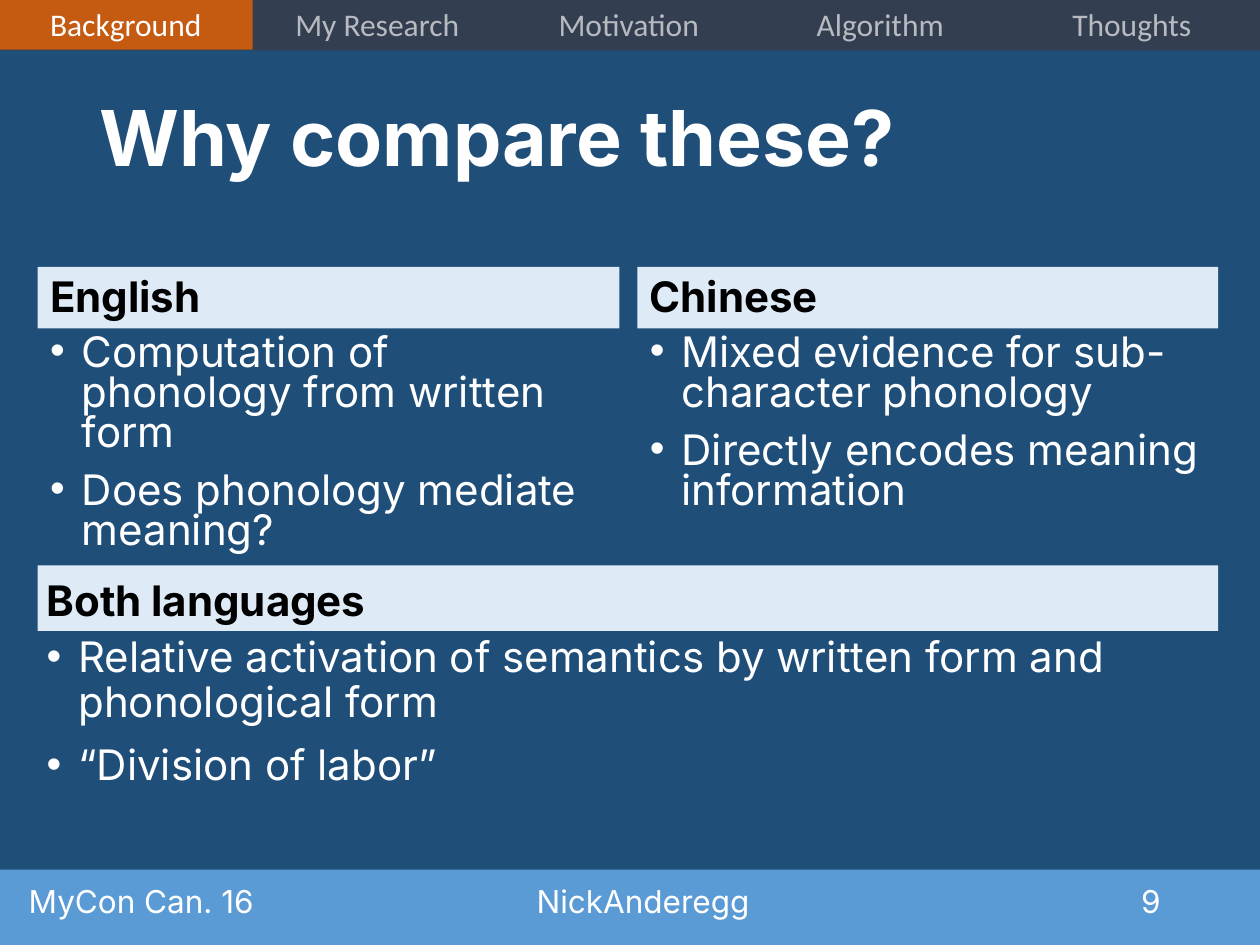
from lxml.etree import SubElement
from pptx import Presentation
from pptx.dml.color import RGBColor
from pptx.enum.shapes import MSO_SHAPE as Shape
from pptx.enum.text import MSO_ANCHOR as Anchor, PP_ALIGN as Align
from pptx.oxml import parse_xml
from pptx.oxml.ns import nsdecls, qn
from pptx.util import Cm, Pt

WHITE, BLACK = "FFFFFF", "000000"
NAVY, SLATE, ORANGE, PALE, BLUE = "1F4E79", "333F50", "C55A11", "DEEBF7", "5B9BD5"
SLIDE_WIDTH, SLIDE_HEIGHT = 25.4, 19.05
NAV_ITEMS = ["Background", "My Research", "Motivation", "Algorithm", "Thoughts"]
NAV_HEIGHT, TAB_WIDTH = 1.04, 5.07
DEFAULT_INSETS, TIGHT_INSETS = (0.25, 0.13), (0.18, 0.1)

SECTIONS = [
    ("English", ["Computation of phonology from written form",
                 "Does phonology mediate meaning?"],
     (0.76, 5.38, 11.73), (1.24, 4.78), 0.8, DEFAULT_INSETS),
    ("Chinese", ["Mixed evidence for sub-character phonology",
                 "Directly encodes meaning information"],
     (12.85, 5.38, 11.71), (1.24, 4.78), 0.8, DEFAULT_INSETS),
    ("Both languages", ["Relative activation of semantics by written form and phonological form",
                        "“Division of labor”"],
     (0.76, 11.4, 23.8), (1.32, 3.81), 0.9, TIGHT_INSETS),
]

FOOTERS = [
    ("9", 17, 6.65, Align.RIGHT),
    ("NickAnderegg", 10.03, 5.33, Align.RIGHT),
    ("MyCon Can. 16", 0.33, 8.08, Align.LEFT),
]


def color(value):
    return RGBColor.from_string(value)


def add_bar(page, place, fill, opacity=None):
    bar = page.shapes.add_shape(Shape.RECTANGLE, *map(Cm, place))
    bar.shadow.inherit = False
    bar.fill.solid()
    bar.fill.fore_color.rgb = color(fill)
    bar.line.fill.background()
    if opacity is not None:
        tint = bar.fill._xPr.find(".//" + qn("a:srgbClr"))
        SubElement(tint, qn("a:alpha"), val=str(opacity * 1000))
    return bar


def add_box(page, place):
    return page.shapes.add_textbox(*map(Cm, place))


def set_frame(shape, anchor=Anchor.TOP, insets=DEFAULT_INSETS):
    frame = shape.text_frame
    frame.word_wrap = True
    frame.vertical_anchor = anchor
    frame.margin_left = frame.margin_right = Cm(insets[0])
    frame.margin_top = frame.margin_bottom = Cm(insets[1])
    return frame


def write(para, text, size, ink=WHITE, font="Inter", bold=False,
          align=Align.LEFT, spacing=None, before=0):
    para.alignment = align
    para.line_spacing = spacing
    para.space_before = Pt(before)
    span = para.add_run()
    span.text = text
    span.font.name = font
    span.font.size = Pt(size)
    span.font.bold = bold
    span.font.color.rgb = color(ink)


def add_bullet(para):
    props = para._p.get_or_add_pPr()
    props.set("marL", str(Cm(0.64)))
    props.set("indent", str(-Cm(0.64)))
    SubElement(props, qn("a:buFont"), typeface="Arial")
    SubElement(props, qn("a:buChar"), char="•")


def add_section(page, heading, points, place, heights, spacing, insets):
    left, top, width = place
    head_height, body_height = heights
    head = add_bar(page, (left, top, width, head_height), PALE)
    write(set_frame(head, Anchor.BOTTOM, insets).paragraphs[0], heading, 24,
          BLACK, bold=True, spacing=0.9, before=10)
    body = add_box(page, (left, top + head_height, width, body_height))
    frame = set_frame(body, insets=insets)
    for index, point in enumerate(points):
        para = frame.add_paragraph() if index else frame.paragraphs[0]
        write(para, point, 24, spacing=spacing, before=10)
        add_bullet(para)


def clear_cell(cell):
    cell.fill.background()
    props = cell._tc.get_or_add_tcPr()
    for index, side in enumerate(["lnL", "lnR", "lnT", "lnB"]):
        border = parse_xml(f'<a:{side} {nsdecls("a")} w="0"><a:noFill/></a:{side}>')
        props.insert(index, border)


def add_navigation(page):
    add_bar(page, (0, 0, SLIDE_WIDTH, 1.02), SLATE)
    add_bar(page, (0, -0.02, 5.1, 1.02), ORANGE)
    count = len(NAV_ITEMS)
    place = (0, 0, TAB_WIDTH * count, NAV_HEIGHT)
    table = page.shapes.add_table(1, count, *map(Cm, place)).table
    table.first_row = table.horz_banding = False
    for column, cell, item in zip(table.columns, table.rows[0].cells, NAV_ITEMS):
        column.width = Cm(TAB_WIDTH)
        clear_cell(cell)
        write(cell.text_frame.paragraphs[0], item, 18, font="Calibri", align=Align.CENTER)
    add_bar(page, (5.08, -0.02, 20.3, NAV_HEIGHT), SLATE, opacity=35)


def add_footer(page):
    add_bar(page, (0, 17.53, SLIDE_WIDTH, 1.52), BLUE)
    for text, left, width, align in FOOTERS:
        box = add_box(page, (left, 17.65, width, 1.02))
        write(set_frame(box, Anchor.MIDDLE).paragraphs[0], text, 18, align=align)


def main():
    deck = Presentation()
    deck.slide_width, deck.slide_height = Cm(SLIDE_WIDTH), Cm(SLIDE_HEIGHT)
    page = deck.slides.add_slide(deck.slide_layouts[6])
    page.background.fill.solid()
    page.background.fill.fore_color.rgb = color(NAVY)

    title = add_box(page, (1.75, 1.02, 21.89, 3.68))
    write(set_frame(title, Anchor.MIDDLE).paragraphs[0], "Why compare these?", 44,
          bold=True, spacing=0.9)
    for section in SECTIONS:
        add_section(page, *section)
    add_footer(page)
    add_navigation(page)
    deck.save("out.pptx")


if __name__ == "__main__":
    main()
